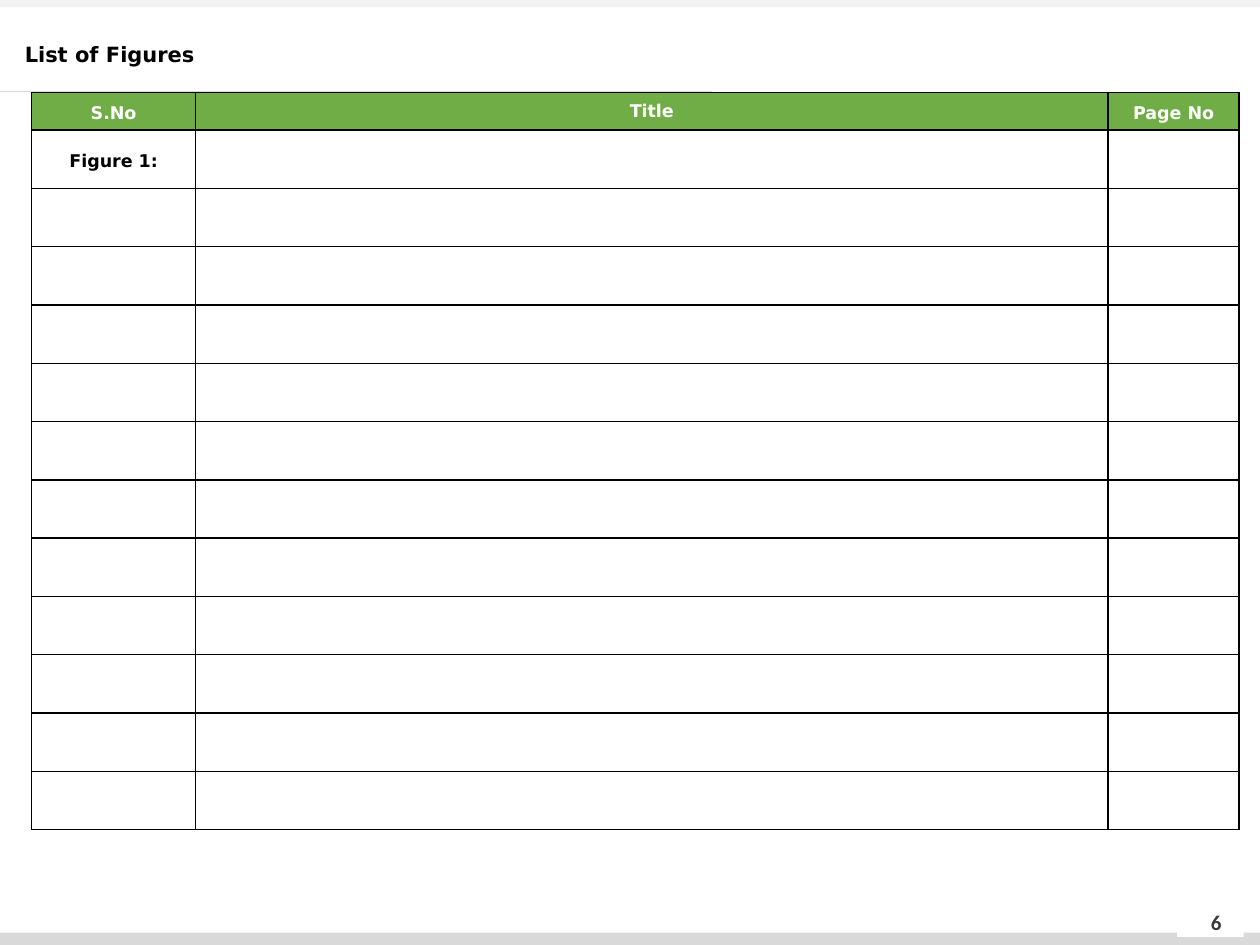
from typing import NamedTuple

from lxml import etree
from pptx import Presentation
from pptx.dml.color import RGBColor
from pptx.enum import shapes, text
from pptx.oxml import ns
from pptx.util import Cm, Pt

BLACK = RGBColor(0x00, 0x00, 0x00)
WHITE = RGBColor(0xFF, 0xFF, 0xFF)
GREEN = RGBColor(0x70, 0xAD, 0x47)
MID_GREY = RGBColor(0xD9, 0xD9, 0xD9)
PALE_GREY = RGBColor(0xF2, 0xF2, 0xF2)
DARK_GREY = RGBColor(0x3B, 0x38, 0x38)

TEXT_FONT = "DejaVu Sans"
NUMBER_FONT = "Calibri"


class Box(NamedTuple):
    left: float
    top: float
    width: float
    height: float

    def lengths(self) -> list:
        return [Cm(value) for value in self]


class Bar(NamedTuple):
    box: Box
    color: RGBColor


class Label(NamedTuple):
    words: str
    size: float
    color: RGBColor
    font: str = TEXT_FONT
    align: text.PP_ALIGN = text.PP_ALIGN.CENTER
    spacing: object = None


BARS = [
    Bar(Box(0, 18.8, 25.4, 0.38), MID_GREY),
    Bar(Box(0, 0, 25.4, 0.15), PALE_GREY),
    Bar(Box(23.73, 18.34, 1.34, 0.55), WHITE),
]
HEADINGS = [
    Label("S.No", 10, WHITE, spacing=1.2),
    Label("Title", 10, WHITE),
    Label("Page No", 10, WHITE, spacing=1.2),
]
FIRST_FIGURE = Label("Figure 1:", 10, BLACK, spacing=1.2)
PAGE_NUMBER = Label("6", 12, DARK_GREY, NUMBER_FONT)
SLIDE_TITLE = Label("List of Figures", 12, BLACK,
                    align=text.PP_ALIGN.LEFT, spacing=Pt(17))

COLUMN_WIDTHS = [3.3, 18.4, 2.64]
HEADER_HEIGHT = 0.75
ROW_HEIGHT = 1.175
FIGURE_ROWS = 12


def write_label(frame, label: Label) -> None:
    frame.text = label.words
    paragraph = frame.paragraphs[0]
    paragraph.alignment = label.align
    if label.spacing is not None:
        paragraph.line_spacing = label.spacing
    font = paragraph.runs[0].font
    font.name, font.size, font.bold = label.font, Pt(label.size), True
    font.color.rgb = label.color


def add_bar(slide, bar: Bar) -> None:
    shape = slide.shapes.add_shape(shapes.MSO_SHAPE.RECTANGLE, *bar.box.lengths())
    shape.shadow.inherit = False
    shape.fill.solid()
    shape.fill.fore_color.rgb = bar.color
    shape.line.fill.background()


def add_title_rule(slide) -> None:
    rule = slide.shapes.add_connector(
        shapes.MSO_CONNECTOR.STRAIGHT, Cm(0), Cm(1.84), Cm(14.35), Cm(1.84))
    rule.line.color.rgb = MID_GREY
    rule.line.width = Pt(0.5)
    etree.SubElement(rule._element.spPr, ns.qn("a:effectLst"))


def add_text(slide, box: Box, label: Label) -> None:
    frame = slide.shapes.add_textbox(*box.lengths()).text_frame
    frame.word_wrap = True
    frame.vertical_anchor = text.MSO_ANCHOR.MIDDLE
    write_label(frame, label)


def style_cell(cell, color: RGBColor | None) -> None:
    """Give a cell its fill, if any, and a thin black border on every side."""
    cell.vertical_anchor = text.MSO_ANCHOR.MIDDLE
    properties = cell._tc.get_or_add_tcPr()
    for side in ("lnL", "lnR", "lnT", "lnB"):
        border = etree.SubElement(properties, ns.qn(f"a:{side}"), w=str(Pt(1)))
        fill = etree.SubElement(border, ns.qn("a:solidFill"))
        etree.SubElement(fill, ns.qn("a:srgbClr"), val=str(BLACK))
    if color is None:
        cell.fill.background()
    else:
        cell.fill.solid()
        cell.fill.fore_color.rgb = color


def add_figure_table(slide) -> None:
    box = Box(0.64, 1.86, sum(COLUMN_WIDTHS),
              HEADER_HEIGHT + FIGURE_ROWS * ROW_HEIGHT)
    table = slide.shapes.add_table(
        FIGURE_ROWS + 1, len(COLUMN_WIDTHS), *box.lengths()).table
    table.horz_banding = False
    for column, width in zip(table.columns, COLUMN_WIDTHS):
        column.width = Cm(width)
    for index, row in enumerate(table.rows):
        row.height = Cm(ROW_HEIGHT if index else HEADER_HEIGHT)
        for cell in row.cells:
            style_cell(cell, None if index else GREEN)
    for column, heading in enumerate(HEADINGS):
        write_label(table.cell(0, column).text_frame, heading)
    write_label(table.cell(1, 0).text_frame, FIRST_FIGURE)


def main() -> None:
    presentation = Presentation()
    presentation.slide_width, presentation.slide_height = Cm(25.4), Cm(19.05)
    slide = presentation.slides.add_slide(presentation.slide_layouts[6])
    for bar in BARS:
        add_bar(slide, bar)
    add_title_rule(slide)
    add_text(slide, Box(23.9, 18.08, 1.24, 1.02), PAGE_NUMBER)
    add_figure_table(slide)
    add_text(slide, Box(0.25, 0.64, 20.14, 0.81), SLIDE_TITLE)
    presentation.save("out.pptx")


if __name__ == "__main__":
    main()
